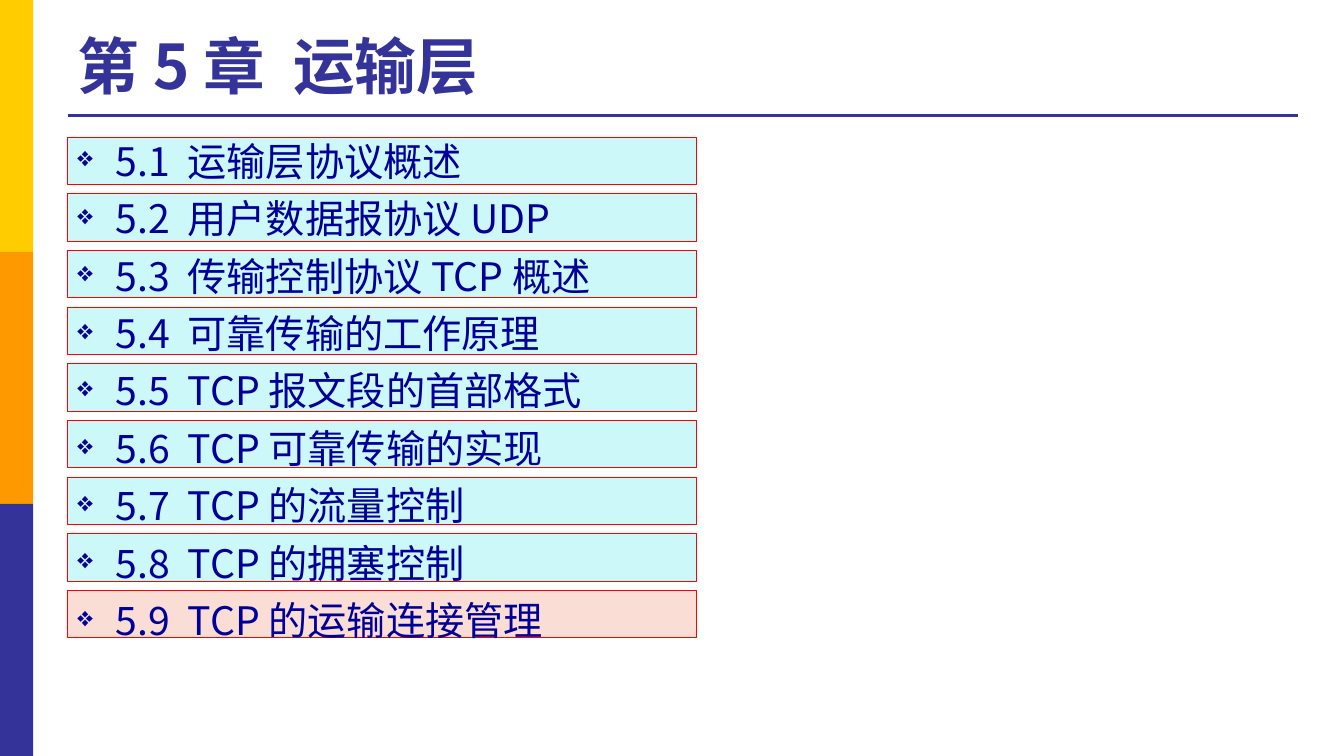
from lxml import etree
from pptx import Presentation
from pptx.dml.color import RGBColor
from pptx.enum import shapes, text
from pptx.oxml import ns
from pptx.util import Inches, Pt

NAVY = RGBColor(0x33, 0x33, 0x99)
YELLOW = RGBColor(0xFF, 0xCC, 0x00)
ORANGE = RGBColor(0xFF, 0x99, 0x00)
CYAN = RGBColor(0xCC, 0xF8, 0xF9)
PINK = RGBColor(0xFA, 0xDD, 0xD4)
RED = RGBColor(0xFF, 0x00, 0x00)
BLUE = RGBColor(0x00, 0x00, 0x99)
FONT = "Noto Sans CJK SC"
BULLET_FONT = "OpenSymbol"

SECTIONS = [
    "5.1  运输层协议概述",
    "5.2  用户数据报协议 UDP",
    "5.3  传输控制协议 TCP 概述",
    "5.4  可靠传输的工作原理",
    "5.5  TCP 报文段的首部格式",
    "5.6  TCP 可靠传输的实现",
    "5.7  TCP 的流量控制",
    "5.8  TCP 的拥塞控制",
    "5.9  TCP 的运输连接管理",
]
CURRENT_SECTION = len(SECTIONS) - 1
FIRST_ROW, LAST_ROW = 1.36, 5.86
ROW_PITCH = (LAST_ROW - FIRST_ROW) / CURRENT_SECTION


def add_rectangle(slide, left, top, width, height, fill, line=None):
    shape = slide.shapes.add_shape(
        shapes.MSO_SHAPE.RECTANGLE,
        Inches(left), Inches(top), Inches(width), Inches(height))
    shape.shadow.inherit = False
    shape.fill.solid()
    shape.fill.fore_color.rgb = fill
    if line is None:
        shape.line.fill.background()
    else:
        shape.line.color.rgb = line
        shape.line.width = Pt(0.75)


def add_rule(slide, left, right, top):
    connector = slide.shapes.add_connector(
        shapes.MSO_CONNECTOR.STRAIGHT,
        Inches(left), Inches(top), Inches(right), Inches(top))
    connector.line.color.rgb = NAVY
    connector.line.width = Pt(2.25)
    properties = connector._element.spPr
    etree.SubElement(properties, ns.qn("a:effectLst"))


def add_bullet(paragraph):
    properties = paragraph._p.get_or_add_pPr()
    properties.set("marL", str(Inches(0.38)))
    properties.set("indent", str(Inches(-0.38)))
    etree.SubElement(properties, ns.qn("a:buSzPct"), val="70000")
    etree.SubElement(properties, ns.qn("a:buFont"), typeface=BULLET_FONT)
    etree.SubElement(properties, ns.qn("a:buChar"), char="❖")


def add_text(slide, lines, left, top, width, height, size, color,
             bold=False, bulleted=False, anchor=text.MSO_ANCHOR.TOP,
             space_before=0):
    box = slide.shapes.add_textbox(
        Inches(left), Inches(top), Inches(width), Inches(height))
    frame = box.text_frame
    frame.word_wrap = True
    frame.vertical_anchor = anchor
    for index, line in enumerate(lines):
        paragraph = frame.add_paragraph() if index else frame.paragraphs[0]
        if bulleted:
            add_bullet(paragraph)
        if index:
            paragraph.space_before = Pt(space_before)
        run = paragraph.add_run()
        run.text = line
        run.font.name = FONT
        run.font.size = Pt(size)
        run.font.bold = bold
        run.font.color.rgb = color
        etree.SubElement(run.font._element, ns.qn("a:ea"), typeface=FONT)


def main():
    presentation = Presentation()
    presentation.slide_width = Inches(13.33)
    presentation.slide_height = Inches(7.5)
    slide = presentation.slides.add_slide(presentation.slide_layouts[6])

    add_rule(slide, 0.67, 12.87, 1.15)
    for index, color in enumerate((YELLOW, ORANGE, NAVY)):
        add_rectangle(slide, 0, 2.5 * index, 0.33, 2.5, color)
    for index in range(len(SECTIONS)):
        fill = PINK if index == CURRENT_SECTION else CYAN
        add_rectangle(slide, 0.67, FIRST_ROW + ROW_PITCH * index, 6.24, 0.47,
                      fill, line=RED)

    add_text(slide, ["第 5 章  运输层"], 0.67, 0.21, 12.2, 0.87,
             size=44, color=NAVY, bold=True, anchor=text.MSO_ANCHOR.MIDDLE)
    add_text(slide, SECTIONS, 0.67, 1.31, 12.2, 5.4, size=28, color=BLUE,
             bulleted=True, space_before=7.4)

    presentation.save("out.pptx")


if __name__ == "__main__":
    main()
